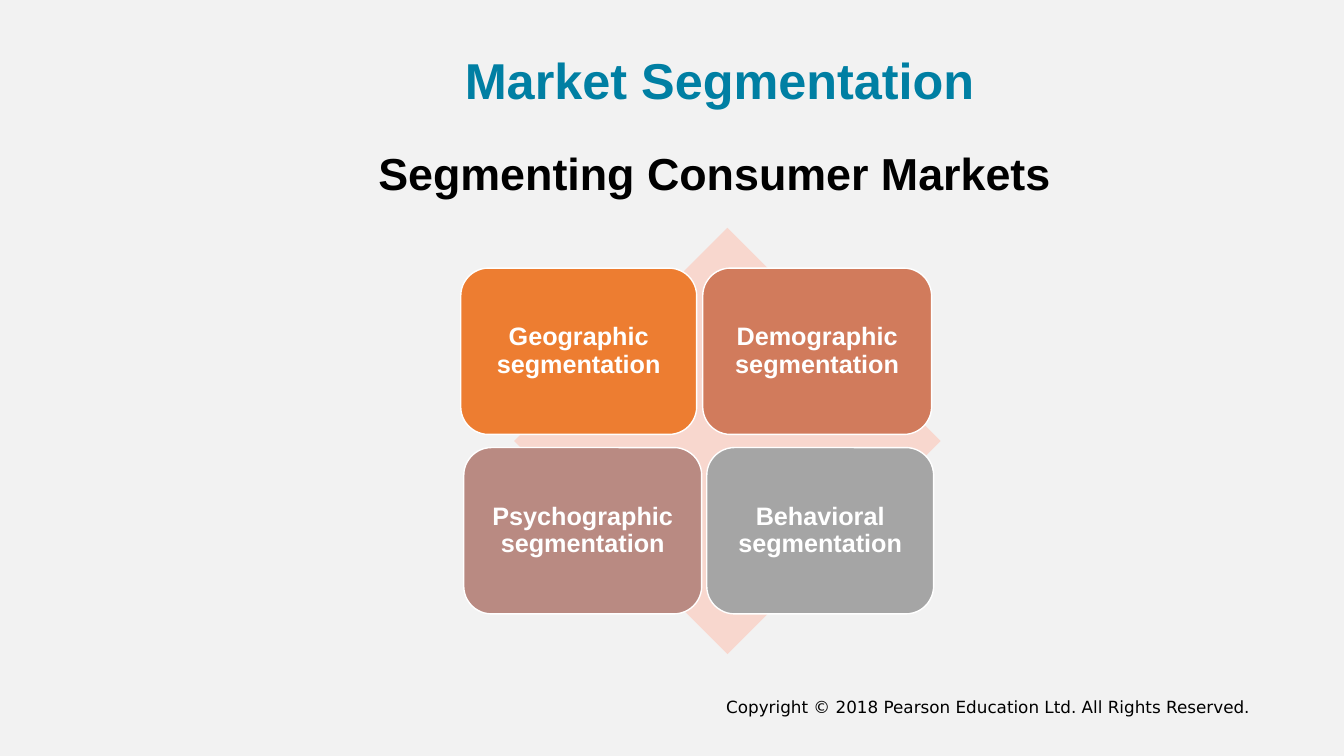
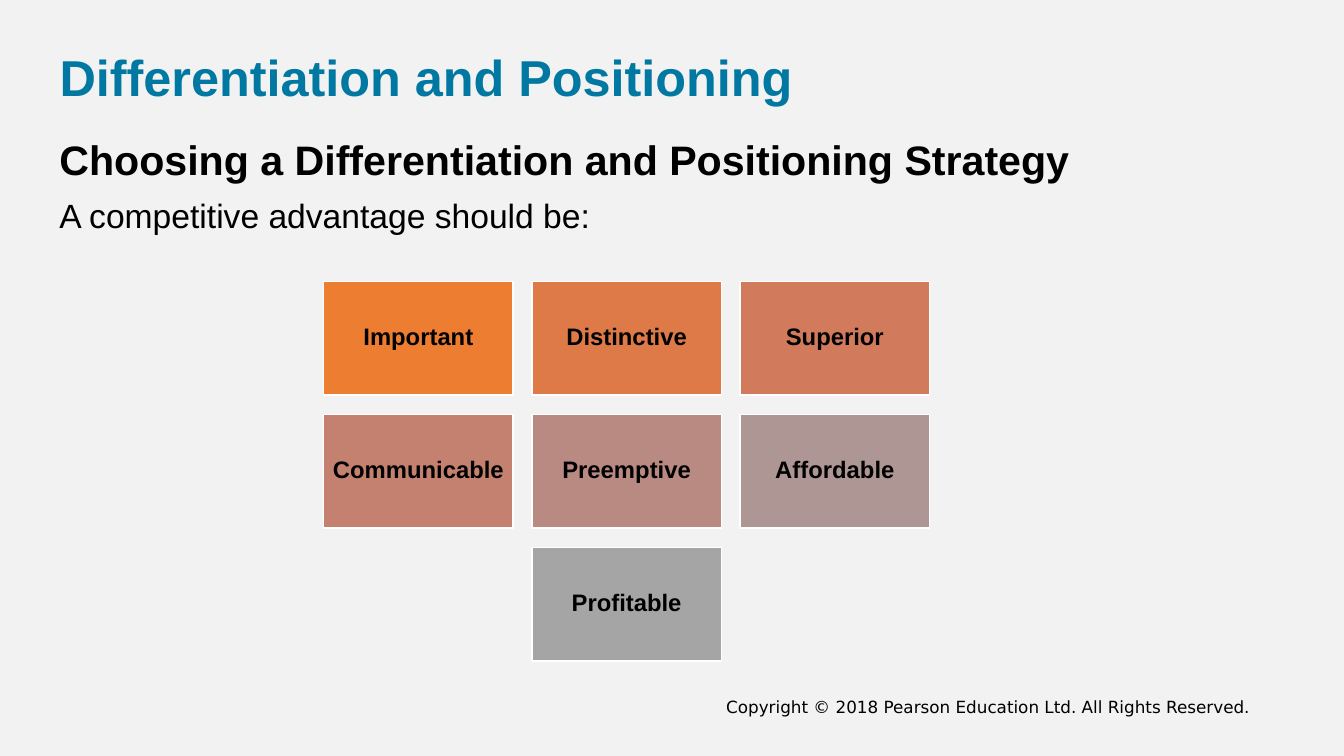
import pptx
import pptx.util
import pptx.dml.color
import pptx.enum.shapes
import pptx.enum.text

Inches, Pt = pptx.util.Inches, pptx.util.Pt
SHAPE = pptx.enum.shapes.MSO_SHAPE
ALIGN = pptx.enum.text.PP_ALIGN
ANCHOR = pptx.enum.text.MSO_ANCHOR

COLORS = {
    "background": "F2F2F2",
    "title": "007FA3",
    "title_dark": "0078A2",
    "text": "000000",
    "white": "FFFFFF",
    "diamond": "F8D7CE",
}
# Tile fills, from orange to grey
RAMP = ["ED7D31", "DE7A47", "D17B5C", "C48170", "B98A82", "AE9694", "A5A5A5"]
COPYRIGHT = "Copyright © 2018 Pearson Education Ltd. All Rights Reserved."


def rgb(value):
    return pptx.dml.color.RGBColor.from_string(value)


def write(tf, text, size, color, bold=False, align=ALIGN.LEFT,
          anchor=ANCHOR.TOP, spacing=0.9, font="Arial"):
    """Fill a text frame with one formatted paragraph."""
    tf.word_wrap = True
    tf.auto_size = pptx.enum.text.MSO_AUTO_SIZE.NONE
    tf.vertical_anchor = anchor
    p = tf.paragraphs[0]
    p.alignment = align
    p.line_spacing = spacing
    r = p.add_run()
    r.text = text
    r.font.name = font
    r.font.size = Pt(size)
    r.font.bold = bold
    r.font.color.rgb = rgb(color)


def add_text(slide, box, text, size, **style):
    sp = slide.shapes.add_textbox(*map(Inches, box))
    write(sp.text_frame, text, size, COLORS["text"], **style)


def add_slide(prs, title, box, color):
    """Add a slide with its title and the shared copyright line."""
    slide = prs.slides.add_slide(prs.slide_layouts[5])
    sp = slide.shapes.title
    sp.left, sp.top, sp.width, sp.height = map(Inches, box)
    write(sp.text_frame, title, 36, color, bold=True, anchor=ANCHOR.MIDDLE)
    add_text(slide, (5.16, 6.86, 7.34, 0.4), COPYRIGHT, 12,
             align=ALIGN.RIGHT, spacing=1.0, font="DejaVu Sans")
    return slide


def add_block(slide, kind, box, fill):
    sp = slide.shapes.add_shape(kind, *map(Inches, box))
    sp.shadow.inherit = False
    sp.fill.solid()
    sp.fill.fore_color.rgb = rgb(fill)
    sp.line.fill.background()
    return sp


def add_tile(slide, kind, box, fill, label, size, color):
    """Add a white-edged block with a centred bold label."""
    sp = add_block(slide, kind, box, fill)
    sp.line.color.rgb = rgb(COLORS["white"])
    sp.line.width = Pt(1)
    tf = sp.text_frame
    tf.margin_left = tf.margin_right = Inches(0.07)
    tf.margin_top = tf.margin_bottom = Inches(0.07)
    write(tf, label, size, color, bold=True, align=ALIGN.CENTER,
          anchor=ANCHOR.MIDDLE)


def build_segmentation(prs):
    slide = add_slide(prs, "Market Segmentation", (4.51, 0.38, 5.51, 0.9),
                      COLORS["title"])
    add_text(slide, (2.6, 1.46, 8.98, 0.63), "Segmenting Consumer Markets",
             32, bold=True, align=ALIGN.CENTER)

    # Four tiles over a diamond: kind, left, width
    add_block(slide, SHAPE.DIAMOND, (5.1, 2.26, 4.23, 4.23), COLORS["diamond"])
    tiles = [("Geographic", 4.57, 2.34), ("Demographic", 6.97, 2.27),
             ("Psychographic", 4.6, 2.36), ("Behavioral", 7.01, 2.25)]
    for i, (name, left, width) in enumerate(tiles):
        top = 2.66 + i // 2 * 1.78
        add_tile(slide, SHAPE.ROUNDED_RECTANGLE, (left, top, width, 1.65),
                 RAMP[2 * i], f"{name} segmentation", 18, COLORS["white"])


def build_positioning(prs):
    slide = add_slide(prs, "Differentiation and Positioning",
                      (0.49, 0.38, 12.35, 0.83), COLORS["title_dark"])
    add_text(slide, (0.49, 1.42, 10.55, 0.47),
             "Choosing a Differentiation and Positioning Strategy",
             29.4, bold=True, spacing=0.7)
    add_text(slide, (0.49, 1.93, 11.92, 0.52),
             "A competitive advantage should be:", 24)

    # Three-column grid, with the last tile in the middle column
    qualities = ["Important", "Distinctive", "Superior", "Communicable",
                 "Preemptive", "Affordable", "Profitable"]
    for i, (quality, fill) in enumerate(zip(qualities, RAMP)):
        row, col = divmod(i, 3)
        if i == len(qualities) - 1:
            col = 1
        box = (3.21 + col * 2.065, 2.79 + row * 1.32, 1.88, 1.13)
        add_tile(slide, SHAPE.RECTANGLE, box, fill, quality, 17,
                 COLORS["text"])


def main():
    prs = pptx.Presentation()
    prs.slide_width, prs.slide_height = Inches(13.33), Inches(7.5)
    # Background shared through the master
    background = prs.slide_master.background.fill
    background.solid()
    background.fore_color.rgb = rgb(COLORS["background"])
    build_segmentation(prs)
    build_positioning(prs)
    prs.save("out.pptx")


if __name__ == "__main__":
    main()
